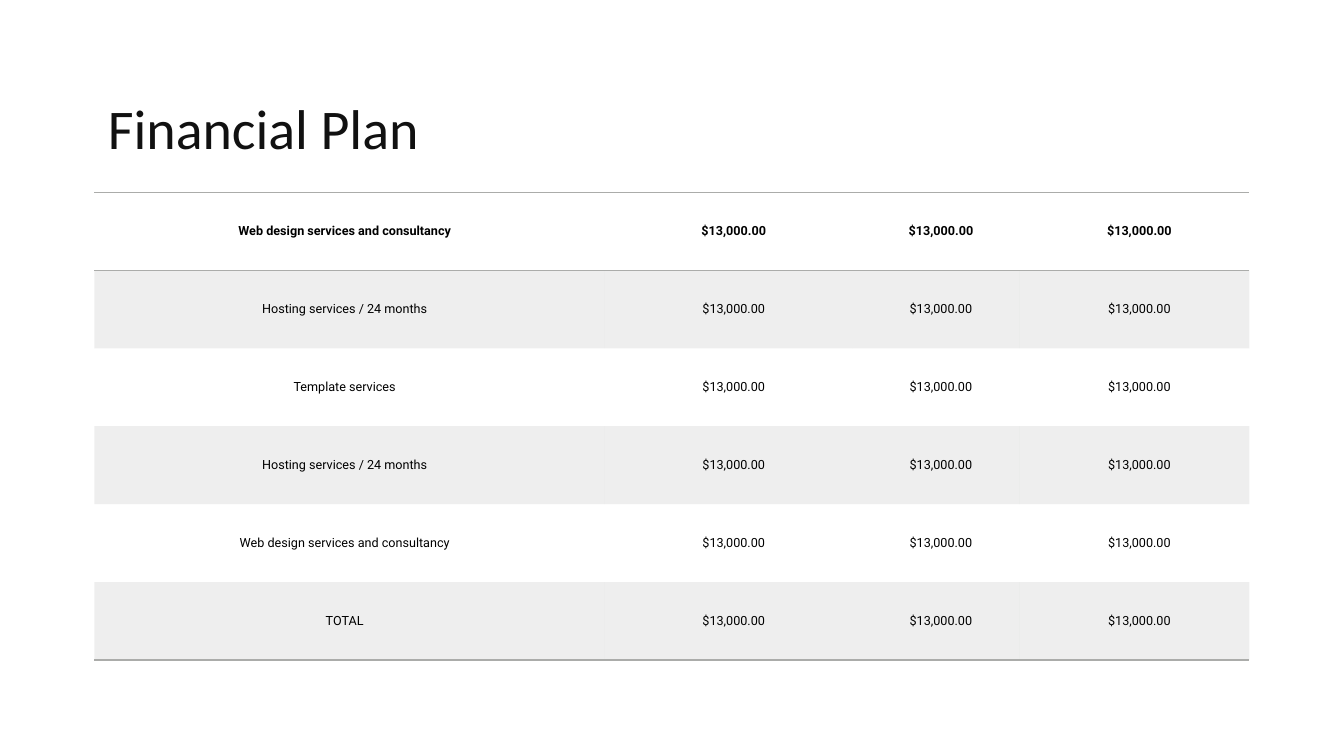
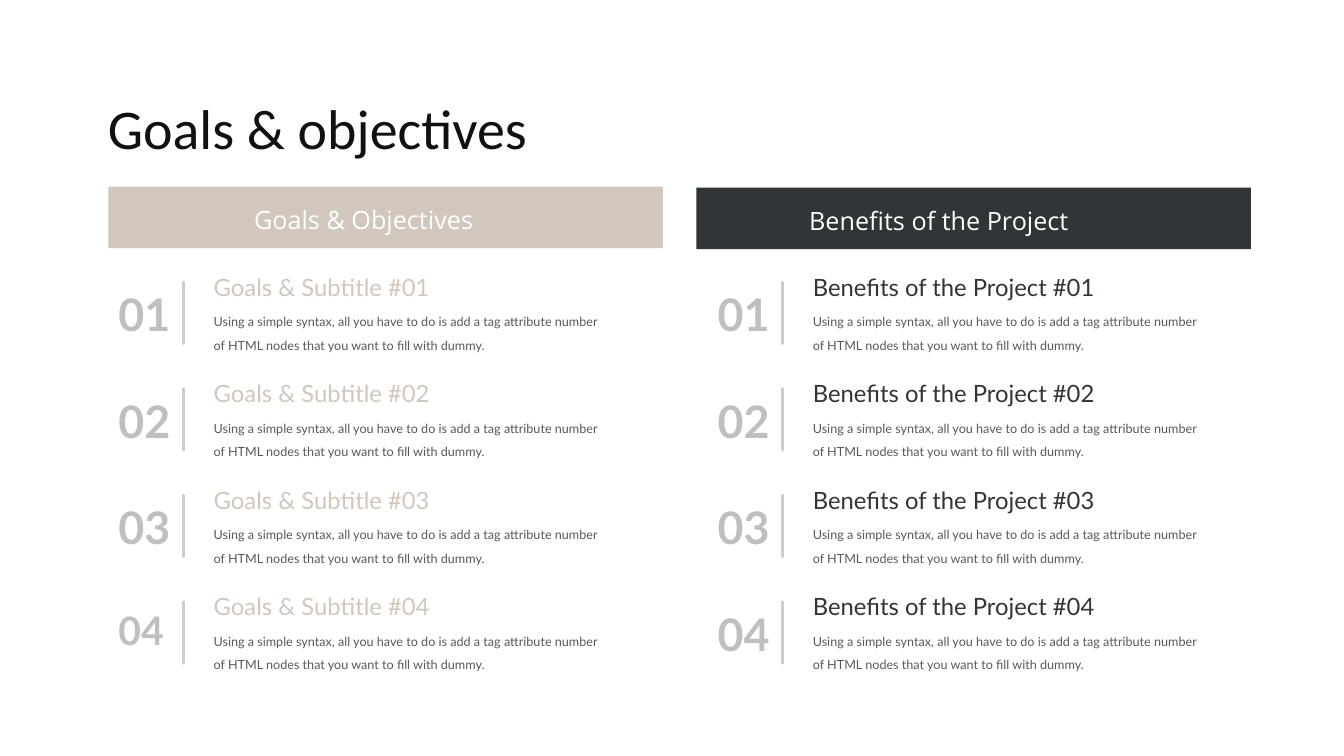
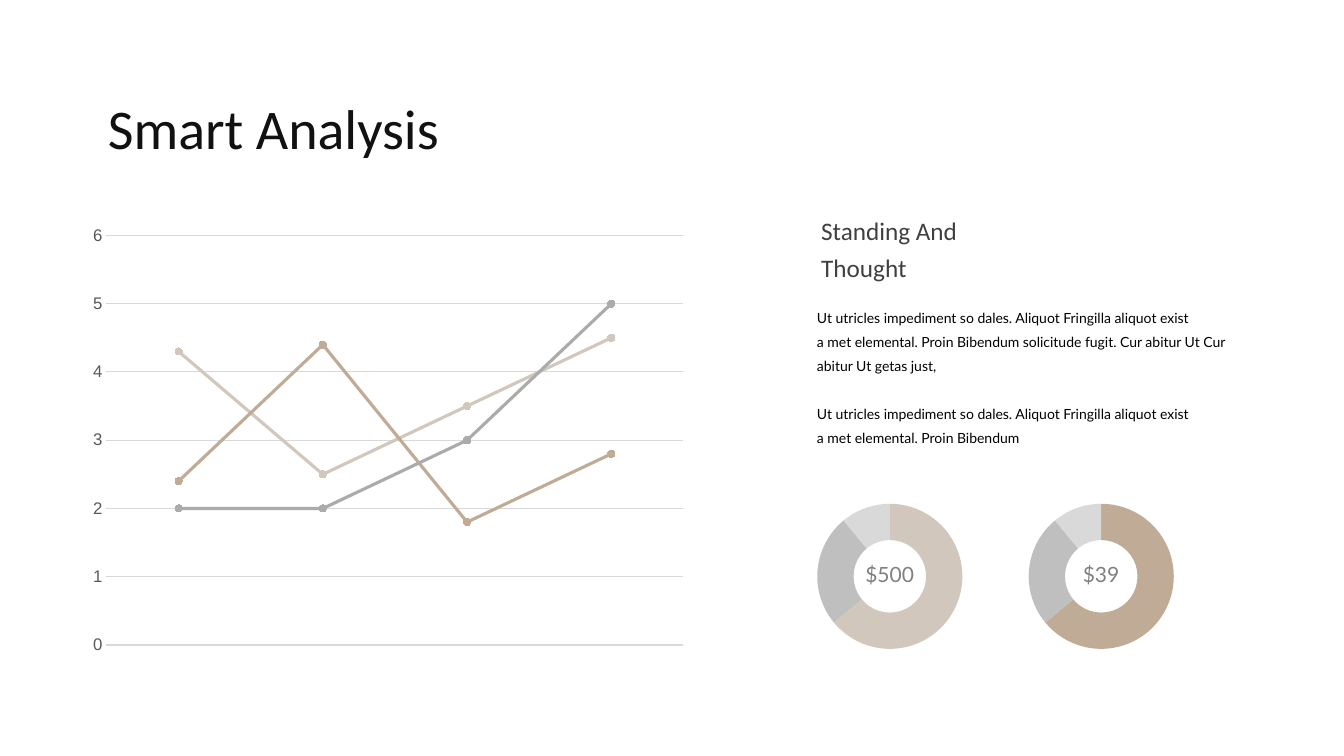
from collections import namedtuple

from lxml import etree
from pptx import Presentation
from pptx.chart.data import CategoryChartData
from pptx.dml.color import RGBColor
from pptx.enum.chart import XL_CHART_TYPE as ChartType, XL_MARKER_STYLE as Marker
from pptx.enum.chart import XL_TICK_MARK as TickMark
from pptx.enum.shapes import MSO_CONNECTOR as Connector, MSO_SHAPE as Shape
from pptx.enum.text import MSO_ANCHOR as Anchor, PP_ALIGN as Align
from pptx.oxml.ns import qn
from pptx.util import Pt

COLOURS = {
    "title": "111111", "black": "000000", "white": "FFFFFF",
    "sand": "D2C7BC", "tan": "C0AB96", "slate": "303538",
    "grey": "ABACAA", "number": "BFBFBF", "divider": "CDCDCC",
    "pale": "D9D9D9", "body": "595959", "heading": "404040", "amount": "808080",
}
NO_TABLE_STYLE = "{2D5ABB26-0587-4C30-8999-92F81FD0307C}"

Box = namedtuple("Box", "left top width height")


def points(box):
    return [Pt(value) for value in box]


def rgb(name):
    return RGBColor.from_string(COLOURS[name])


def style_font(font, name, size, colour, bold=False):
    font.name = name
    font.size = Pt(size)
    font.bold = bold
    font.color.rgb = rgb(colour)


def add_text(page, box, lines, name, size, colour, bold=False, spacing=None, align=Align.LEFT):
    """Add a text box with one paragraph per line; spacing is in points."""
    frame = page.shapes.add_textbox(*points(box)).text_frame
    frame.word_wrap = True
    frame.text = "\n".join(lines)
    for para in frame.paragraphs:
        para.alignment = align
        if spacing:
            para.line_spacing = Pt(spacing)
        style_font(para.font, name, size, colour, bold)


def add_page(deck, title):
    page = deck.slides.add_slide(deck.slide_layouts[6])
    add_text(page, Box(70, 66, 494, 53), [title], "Calibri", 40, "title", spacing=45)
    return page


# Financial plan

def add_border(cell, side, position):
    """Draw one thin grey border; side is lnT or lnB."""
    line = etree.Element(qn("a:" + side), w=str(Pt(1)))
    fill = etree.SubElement(line, qn("a:solidFill"))
    etree.SubElement(fill, qn("a:srgbClr"), val=COLOURS["grey"])
    cell._tc.get_or_add_tcPr().insert(position, line)


def shade(cell, percent):
    cell.fill.solid()
    cell.fill.fore_color.rgb = rgb("grey")
    colour = cell._tc.tcPr.find(".//" + qn("a:srgbClr"))
    etree.SubElement(colour, qn("a:alpha"), val=str(percent * 1000))


def fill_cell(cell, text, is_label, is_header):
    cell.text = text
    cell.vertical_anchor = Anchor.MIDDLE
    cell.margin_left, cell.margin_right = (0, Pt(7.2)) if is_label else (Pt(7.2), 0)
    para = cell.text_frame.paragraphs[0]
    para.alignment = Align.CENTER
    style_font(para.font, "Roboto", 9, "black", is_header)


def add_price_table(page, box, labels, price, widths):
    frame = page.shapes.add_table(len(labels), len(widths), *points(box))
    table = frame.table
    table.first_row = table.horz_banding = False
    table._tbl.tblPr.find(qn("a:tableStyleId")).text = NO_TABLE_STYLE
    for column, width in zip(table.columns, widths):
        column.width = Pt(width)
    last = len(labels) - 1
    for index, label in enumerate(labels):
        table.rows[index].height = Pt(box.height / len(labels))
        for column in range(len(widths)):
            cell = table.cell(index, column)
            fill_cell(cell, price if column else label, column == 0, index == 0)
            if index % 2:
                shade(cell, 20)
            else:
                cell.fill.background()
            if index in (0, last):
                add_border(cell, "lnB", 0)
            if index == 0:
                add_border(cell, "lnT", 0)


def build_financial_plan(deck):
    page = add_page(deck, "Financial Plan")
    design, hosting = "Web design services and consultancy", "Hosting services / 24 months"
    labels = [design, hosting, "Template services", hosting, design, "TOTAL"]
    add_price_table(page, Box(67.5, 137.5, 825, 334), labels, "$13,000.00",
                    [364.5, 177, 119, 164.5])


# Goals and objectives

def add_banner(page, box, text, colour, indent):
    bar = page.shapes.add_shape(Shape.RECTANGLE, *points(box))
    bar.shadow.inherit = False
    bar.fill.solid()
    bar.fill.fore_color.rgb = rgb(colour)
    bar.line.fill.background()
    frame = bar.text_frame
    frame.vertical_anchor = Anchor.MIDDLE
    frame.margin_left, frame.margin_top = Pt(indent), Pt(6)
    frame.text = text
    para = frame.paragraphs[0]
    para.alignment = Align.LEFT
    style_font(para.font, "Open Sans", 18, "white")


def add_divider(page, x, top, height):
    divider = page.shapes.add_connector(Connector.STRAIGHT, *points((x, top, x, top + height)))
    divider.line.color.rgb = rgb("divider")
    divider.line.width = Pt(2)
    divider.line._ln.set("cap", "rnd")
    etree.SubElement(divider._element.spPr, qn("a:effectLst"))


def add_goal(page, left, top, number, subtitle, colour, number_size):
    add_text(page, Box(left, top, 55, 46), [number], "Lato", number_size, "number", bold=True)
    add_divider(page, left + 53.5, top, 44)
    add_text(page, Box(left + 68, top - 10.5, 273, 28), [f"{subtitle} #{number}"],
             "Lato", 17, colour)
    description = ["Using a simple syntax, all you have to do is add a tag attribute number",
                   "of HTML nodes that you want to fill with dummy."]
    add_text(page, Box(left + 68, top + 13, 309, 40), description, "Lato", 9, "body", spacing=17)


def add_goal_column(page, left, top, subtitle, colour, sizes):
    for index, size in enumerate(sizes):
        add_goal(page, left, top + 76.1 * index, f"{index + 1:02}", subtitle, colour, size)


def build_goals(deck):
    page = add_page(deck, "Goals & objectives")
    add_banner(page, Box(77.5, 133.3, 396, 44), "Goals & Objectives", "sand", 104)
    add_banner(page, Box(497.5, 134, 396, 44), "Benefits of the Project", "slate", 80.5)
    add_goal_column(page, 77.5, 201.5, "Goals & Subtitle", "sand", [32, 32, 32, 28])
    add_goal_column(page, 505.5, 201.5, "Benefits of the Project", "slate", [32] * 4)


# Smart analysis

def place_plot(chart, fractions):
    """Fix the inner plot area, given as fractions of the chart's box."""
    plot_area = chart._chartSpace.chart.plotArea
    for old in plot_area.findall(qn("c:layout")):
        plot_area.remove(old)
    layout = etree.Element(qn("c:layout"))
    manual = etree.SubElement(layout, qn("c:manualLayout"))
    settings = [("layoutTarget", "inner"), ("xMode", "edge"), ("yMode", "edge")]
    settings += zip("xywh", map(str, fractions))
    for tag, value in settings:
        etree.SubElement(manual, qn("c:" + tag), val=value)
    plot_area.insert(0, layout)


def add_plain_chart(page, box, kind, series, fractions):
    """Add a chart without title or legend; its categories are numbered from 1."""
    data = CategoryChartData()
    data.categories = [str(index + 1) for index in range(len(series[0]))]
    for index, values in enumerate(series):
        data.add_series(f"Series {index + 1}", values)
    chart = page.shapes.add_chart(kind, *points(box), data).chart
    chart.has_title = chart.has_legend = False
    style_font(chart.font, "Montserrat", 10, "black")
    place_plot(chart, fractions)
    return chart


def add_line_chart(page, box, lines):
    chart = add_plain_chart(page, box, ChartType.LINE_MARKERS, list(lines.values()),
                            (0.04, 0.04, 0.94, 0.92))
    chart.plots[0].vary_by_categories = False
    chart.category_axis.visible = False
    axis = chart.value_axis
    axis.minimum_scale, axis.maximum_scale, axis.major_unit = 0, 6, 1
    axis.major_tick_mark = axis.minor_tick_mark = TickMark.NONE
    axis.format.line.fill.background()
    axis.major_gridlines.format.line.color.rgb = rgb("pale")
    axis.major_gridlines.format.line.width = Pt(0.75)
    style_font(axis.tick_labels.font, "Arial", 12, "body")
    for series, colour in zip(chart.plots[0].series, lines):
        series.smooth = False
        series.format.line.color.rgb = rgb(colour)
        series.format.line.width = Pt(2.25)
        marker = series.marker
        marker.style, marker.size = Marker.CIRCLE, 5
        marker.format.fill.solid()
        marker.format.fill.fore_color.rgb = rgb(colour)
        marker.format.line.color.rgb = rgb(colour)


def add_ring(page, box, amount, colour):
    """Add a doughnut chart with an amount in its middle."""
    chart = add_plain_chart(page, box, ChartType.DOUGHNUT, [(64, 25, 11)],
                            (0.19, 0.08, 0.61, 0.84))
    plot = chart.plots[0]
    plot.vary_by_categories = True
    plot._element.find(qn("c:holeSize")).set("val", "62")
    for index, shade_name in enumerate((colour, "number", "pale")):
        slice_format = plot.series[0].points[index].format
        slice_format.fill.solid()
        slice_format.fill.fore_color.rgb = rgb(shade_name)
        slice_format.line.fill.background()
    add_text(page, Box(box.left + 54, box.top + 48, 60, 25), [amount],
             "Lato", 15, "amount", align=Align.CENTER)


def build_analysis(deck):
    page = add_page(deck, "Smart Analysis")
    add_line_chart(page, Box(58.5, 155.5, 438.5, 318), {
        "sand": (4.3, 2.5, 3.5, 4.5),
        "tan": (2.4, 4.4, 1.8, 2.8),
        "grey": (2, 2, 3, 5),
    })
    for left, amount, colour in ((551.5, "$500", "sand"), (702.5, "$39", "tan")):
        add_ring(page, Box(left, 349.5, 170, 124.5), amount, colour)
    add_text(page, Box(579.5, 146, 207, 53), ["Standing And", "Thought"],
             "Calibri", 18, "heading", spacing=26)
    opening = "Ut utricles impediment so dales. Aliquot Fringilla aliquot exist"
    details = (
        (212.5, 57, "a met elemental. Proin Bibendum solicitude fugit. "
                    "Cur abitur Ut Cur abitur Ut getas just,"),
        (281, 40, "a met elemental. Proin Bibendum"),
    )
    for top, height, rest in details:
        add_text(page, Box(576.5, top, 312.5, height), [opening, rest],
                 "Lato", 10, "black", spacing=17)


def main():
    deck = Presentation()
    deck.slide_width, deck.slide_height = Pt(960), Pt(540)
    build_financial_plan(deck)
    build_goals(deck)
    build_analysis(deck)
    deck.save("out.pptx")


if __name__ == "__main__":
    main()
